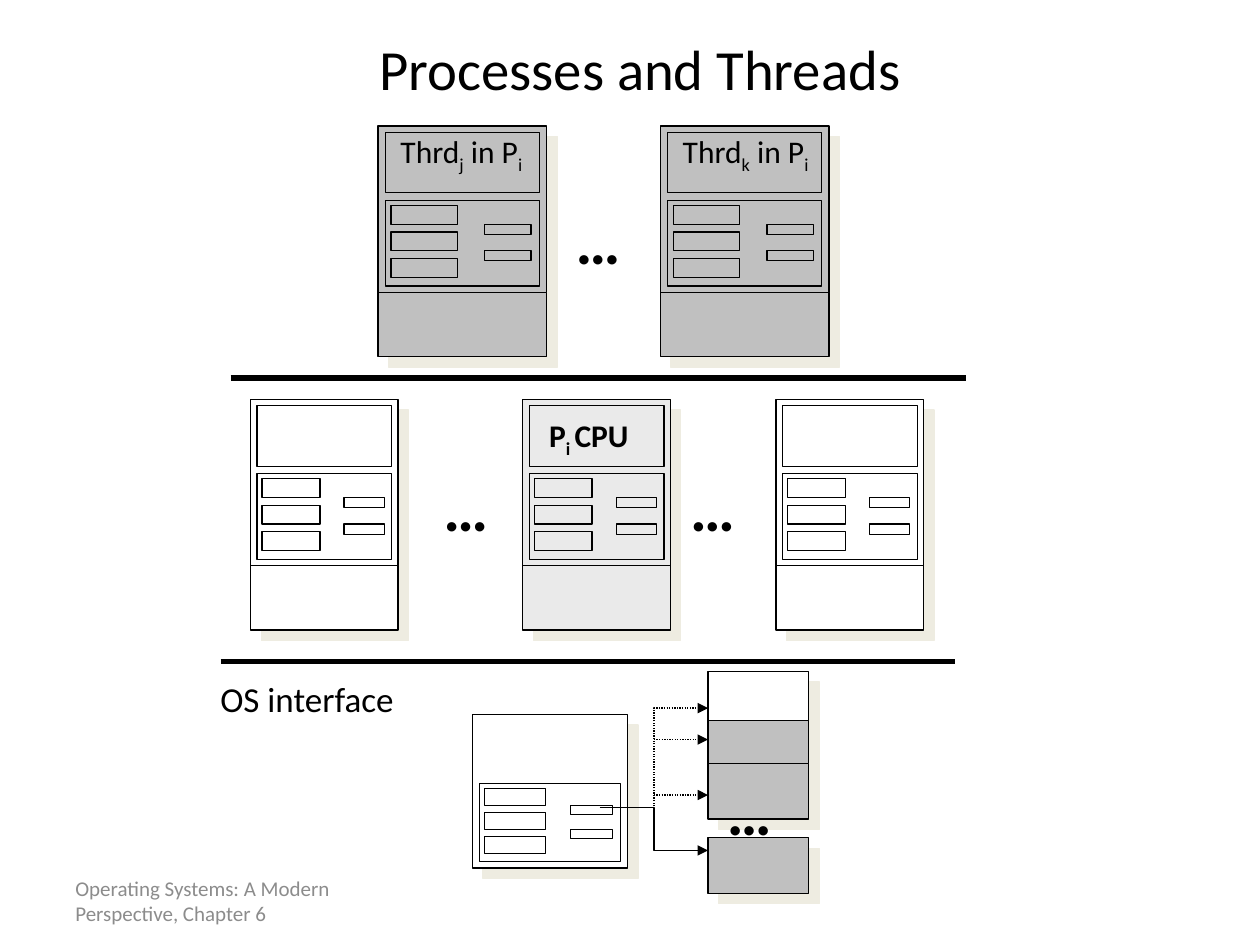
"""Build the slide on processes, threads and the operating system interface."""
from lxml.etree import SubElement
from pptx import Presentation
from pptx.dml.color import RGBColor
from pptx.enum.dml import MSO_LINE
from pptx.enum.shapes import MSO_CONNECTOR, MSO_SHAPE
from pptx.enum.text import MSO_ANCHOR, PP_ALIGN
from pptx.oxml.ns import qn
from pptx.util import Inches, Pt

COLORS = {
    "black": "000000",
    "white": "FFFFFF",
    "light": "EAEAEA",
    "gray": "C0C0C0",
    "shadow": "EEECE1",
    "footer": "8C8C8C",
}
FONT = "Calibri"
PANEL_WIDTH = 1.17
REGISTERS_HEIGHT = 0.68


def color(name):
    return RGBColor.from_string(COLORS[name])


def add_text(shapes, box, runs, size, ink="black", bold=False, wrap=False,
             anchor=MSO_ANCHOR.TOP, align=PP_ALIGN.LEFT):
    shape = shapes.add_textbox(*map(Inches, box))
    frame = shape.text_frame
    frame.word_wrap = wrap
    frame.vertical_anchor = anchor
    paragraph = frame.paragraphs[0]
    paragraph.alignment = align
    for text, is_subscript in runs:
        run = paragraph.add_run()
        run.text = text
        run.font.name = FONT
        run.font.size = Pt(size)
        run.font.bold = bold
        run.font.color.rgb = color(ink)
        if is_subscript:
            run.font._element.set("baseline", "-25000")
    return shape


def add_dots(shapes, left, top, fill=None):
    shape = add_text(shapes, (left, top, 0.7, 0.7), [("…", False)], 36, bold=True)
    if fill:
        shape.fill.solid()
        shape.fill.fore_color.rgb = color(fill)


def add_box(shapes, box, fill, shadow=False):
    shape = shapes.add_shape(MSO_SHAPE.RECTANGLE, *map(Inches, box))
    shape.fill.solid()
    shape.fill.fore_color.rgb = color(fill)
    shape.line.color.rgb = color("black")
    shape.line.width = Pt(0.75)
    shape.shadow.inherit = False
    if shadow:
        effects = shape._element.spPr.find(qn("a:effectLst"))
        outer = SubElement(effects, qn("a:outerShdw"), blurRad="0", dist=str(Pt(8.5)),
                           dir="2700000", algn="ctr", rotWithShape="0")
        SubElement(outer, qn("a:srgbClr"), val=COLORS["shadow"])


def style_line(shape, width, dotted=False, arrow=False):
    shape.line.color.rgb = color("black")
    shape.line.width = Pt(width)
    if dotted:
        shape.line.dash_style = MSO_LINE.ROUND_DOT
    if arrow:
        SubElement(shape._element.spPr.find(qn("a:ln")), qn("a:tailEnd"), type="triangle")


def add_line(shapes, start, end, width, dotted=False, arrow=False):
    shape = shapes.add_connector(MSO_CONNECTOR.STRAIGHT, *map(Inches, start + end))
    style_line(shape, width, dotted, arrow)
    SubElement(shape._element.spPr, qn("a:effectLst"))


def add_elbow_arrow(shapes, points, dotted=False):
    start, *rest = [(Inches(x), Inches(y)) for x, y in points]
    builder = shapes.build_freeform(*start)
    builder.add_line_segments(rest, close=False)
    shape = builder.convert_to_shape()
    shape.fill.background()
    shape.shadow.inherit = False
    style_line(shape, 0.75, dotted, arrow=True)


def add_registers(shapes, left, top, width, height, fill):
    across = width / PANEL_WIDTH
    down = height / REGISTERS_HEIGHT
    add_box(shapes, (left + 0.05 * across, top, 1.07 * across, height), fill)
    wide = [(0.09, 0.04 + 0.21 * row, 0.46, 0.15) for row in range(3)]
    narrow = [(0.74, 0.19 + 0.21 * row, 0.32, 0.08) for row in range(2)]
    for x, y, w, h in wide + narrow:
        add_box(shapes, (left + x * across, top + y * down, w * across, h * down), fill)


def add_machine(slide, left, top, width, fill):
    shapes = slide.shapes.add_group_shape().shapes
    across = width / PANEL_WIDTH
    add_box(shapes, (left, top, width, 1.32), fill, shadow=True)
    add_registers(shapes, left, top + 0.59, width, REGISTERS_HEIGHT, fill)
    add_box(shapes, (left + 0.05 * across, top + 0.05, 1.07 * across, 0.48), fill)
    add_box(shapes, (left, top + 1.32, width, 0.51), fill, shadow=True)
    return shapes


def add_hardware(slide):
    shapes = slide.shapes.add_group_shape().shapes
    add_box(shapes, (3.75, 5.67, 1.23, 1.22), "white", shadow=True)
    add_registers(shapes, 3.75, 6.22, 1.23, 0.62, "white")
    for top, height, fill in [(5.33, 0.39, "white"), (5.72, 0.34, "gray"),
                              (6.06, 0.44, "gray"), (6.65, 0.44, "gray")]:
        add_box(shapes, (5.62, top, 0.8, height), fill, shadow=True)
    bend, memory = 5.19, 5.62
    add_elbow_arrow(shapes, [(4.76, 6.41), (bend, 6.41), (bend, 6.75), (memory, 6.75)])
    add_elbow_arrow(shapes, [(bend, 6.4), (bend, 5.62), (memory, 5.62)], dotted=True)
    for y in (5.87, 6.31):
        add_line(shapes, (bend, y), (memory, y), 0.75, dotted=True, arrow=True)
    add_dots(shapes, 5.67, 6.08)


def main():
    presentation = Presentation()
    presentation.slide_width = Inches(10)
    presentation.slide_height = Inches(7.5)
    slide = presentation.slides.add_slide(presentation.slide_layouts[6])
    shapes = slide.shapes

    add_text(shapes, (0.83, 0.25, 8.5, 0.58), [("Processes and Threads", False)], 32.4,
             wrap=True, anchor=MSO_ANCHOR.MIDDLE, align=PP_ALIGN.CENTER)
    add_text(shapes, (0.5, 6.95, 2.33, 0.4),
             [("Operating Systems: A Modern Perspective, Chapter 6", False)], 12,
             ink="footer", wrap=True, anchor=MSO_ANCHOR.MIDDLE)
    add_text(shapes, (1.65, 5.33, 1.6, 0.43), [("OS interface", False)], 20)
    for left, top in [(4.47, 1.55), (3.42, 3.67), (5.38, 3.67)]:
        add_dots(shapes, left, top, "white")

    add_hardware(slide)
    for left, fill in [(1.99, "white"), (4.15, "light"), (6.16, "white")]:
        add_machine(slide, left, 3.17, PANEL_WIDTH, fill)
    add_text(shapes, (4.26, 3.25, 1.08, 0.4),
             [("P", False), ("i ", True), ("CPU", False)], 18, bold=True, wrap=True)
    for left, index, text_width in [(3, "j", 1.24), (5.24, "k", 1.28)]:
        thread = add_machine(slide, left, 1, 1.34, "gray")
        add_text(thread, (left + 0.08, 1, text_width, 0.4),
                 [("Thrd", False), (index, True), (" in P", False), ("i", True)], 18)

    add_line(shapes, (1.83, 3), (7.67, 3), 3)
    add_line(shapes, (1.75, 5.25), (7.58, 5.25), 3)
    presentation.save("out.pptx")


main()
